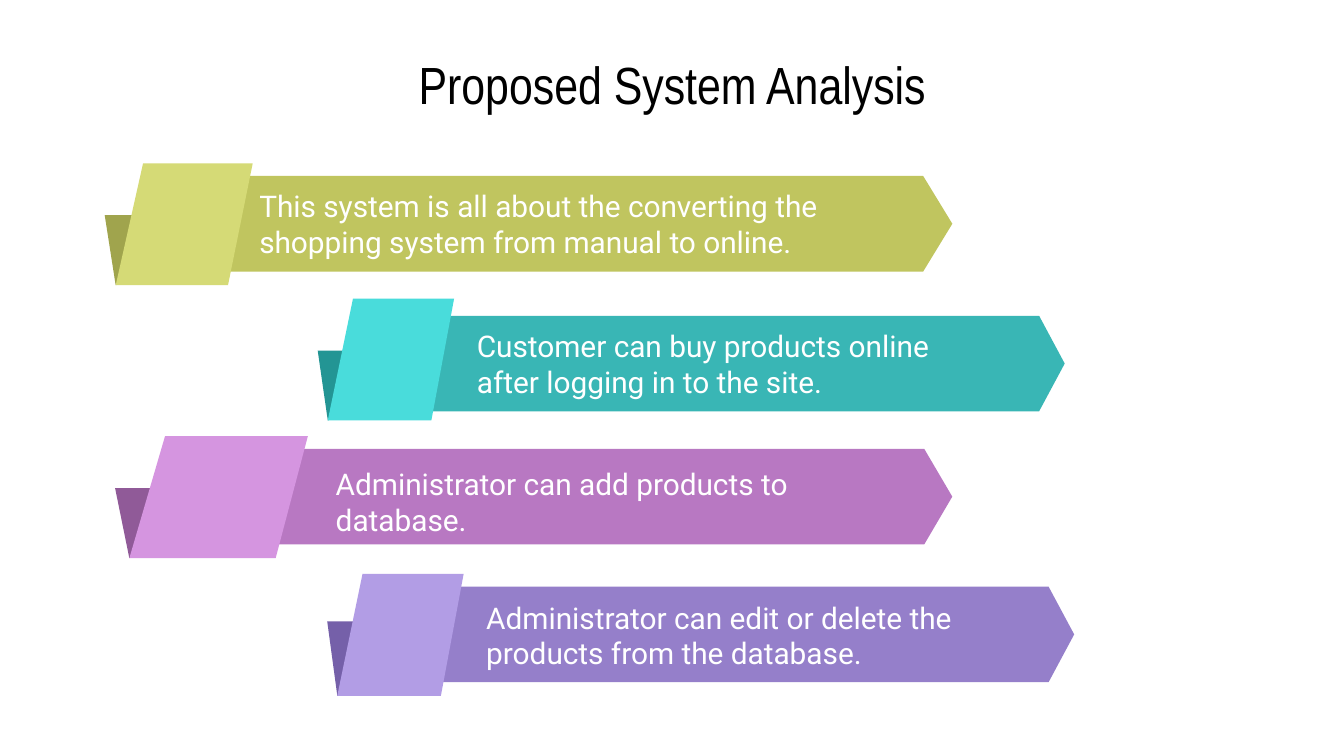
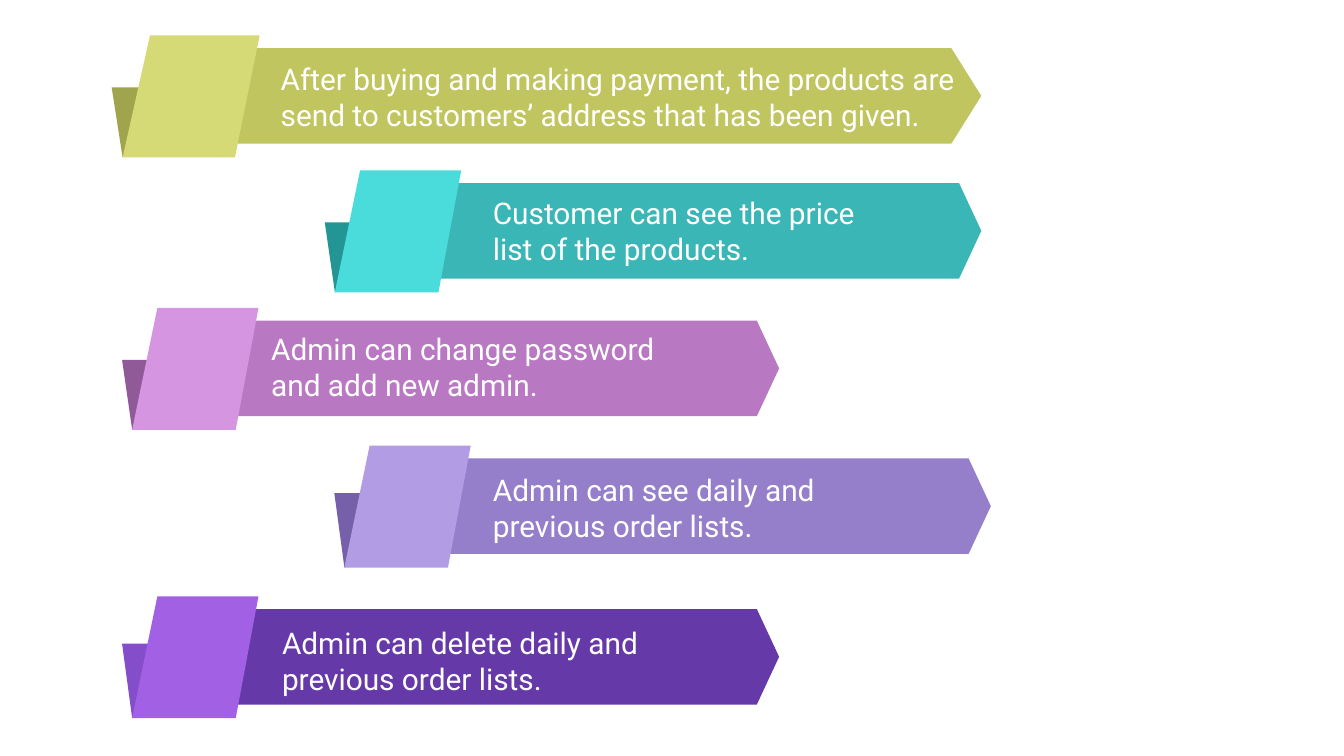
from dataclasses import dataclass

from pptx import Presentation
from pptx.dml.color import RGBColor
from pptx.enum.text import MSO_ANCHOR, MSO_AUTO_SIZE, PP_ALIGN
from pptx.util import Pt

MIDDLE = MSO_ANCHOR.MIDDLE
NO_FIT = MSO_AUTO_SIZE.NONE
LEFT, CENTER = PP_ALIGN.LEFT, PP_ALIGN.CENTER
TITLE_ONLY, BLANK = 5, 6


@dataclass(frozen=True)
class Tone:
    fold: str
    bar: str
    tag: str
    drop: float = 27.8  # from the top of the tag to the top of the fold


class Theme:
    # Colours
    black, white = "000000", "FFFFFF"
    olive = Tone("A0A44D", "C0C55F", "D5DA76")
    teal = Tone("239594", "39B6B5", "49DCDB")
    pink = Tone("905A98", "B878C2", "D595E0")
    lilac = Tone("7560A9", "957FCA", "B29DE5", 25.4)
    violet = Tone("844DCA", "6639A8", "A261E4", 25.4)
    # Type
    head, body = "Arial Narrow", "Roboto"
    big, small = 28, 16
    # Ribbon sizes
    tag_h, bar_h, inset = 65.3, 51.2, 7.2


class Deck:
    def __init__(self, theme):
        self.theme = theme
        self.file = Presentation()
        self.file.slide_width, self.file.slide_height = Pt(720), Pt(405)
        self.slide = None

    def page(self, layout):
        self.slide = self.file.slides.add_slide(self.file.slide_layouts[layout])

    def letter(self, shape, text, font, size, color, align):
        frame = shape.text_frame
        frame.text = text
        frame.word_wrap = True
        frame.auto_size = NO_FIT
        frame.vertical_anchor = MIDDLE
        frame.margin_left = frame.margin_right = Pt(self.theme.inset)
        frame.margin_top = frame.margin_bottom = Pt(self.theme.inset)
        line = frame.paragraphs[0]
        line.alignment = align
        line.font.name, line.font.size = font, Pt(size)
        line.font.color.rgb = RGBColor.from_string(color)

    def title(self, text, left, top, width, height):
        shape = self.slide.shapes.title
        shape.left, shape.top = Pt(left), Pt(top)
        shape.width, shape.height = Pt(width), Pt(height)
        look = self.theme
        self.letter(shape, text, look.head, look.big, look.black, CENTER)

    def text(self, text, box):
        shape = self.slide.shapes.add_textbox(*map(Pt, box))
        look = self.theme
        self.letter(shape, text, look.body, look.small, look.white, LEFT)

    def outline(self, color, *spots):
        first, *rest = [(Pt(x), Pt(y)) for x, y in spots]
        pen = self.slide.shapes.build_freeform(*first)
        pen.add_line_segments(rest, close=True)
        shape = pen.convert_to_shape()
        shape.shadow.inherit = False
        shape.fill.solid()
        shape.fill.fore_color.rgb = RGBColor.from_string(color)
        shape.line.fill.background()

    def ribbon(self, tone, x, y, width, end, text, box, step=6.8):
        """Tag at x, y; the bar runs to end and starts step below the tag."""
        base = y + self.theme.tag_h
        # Fold behind the tag
        top, near, far = y + tone.drop, x - 0.08 * width, x + 0.33 * width
        self.outline(tone.fold, (near, top), (x, base), (far, base - 9), (far, top))
        # Arrow bar
        start = x + 0.36 * width
        tip = 0.037 * (end - start)
        top, low = y + step, y + step + self.theme.bar_h
        mid = (top + low) / 2
        self.outline(tone.bar, (start + tip, top), (start, mid), (start + tip, low),
                     (end - tip, low), (end, mid), (end - tip, top))
        # Slanted tag and wording
        self.outline(tone.tag, (x + 0.2 * width, y), (x, base),
                     (x + 0.82 * width, base), (x + width, y))
        self.text(text, box)


def main():
    look = Theme()
    deck = Deck(look)

    # Proposed system
    deck.page(TITLE_ONLY)
    deck.title("Proposed System Analysis", 198, 32.4, 324, 25.2)
    deck.ribbon(look.olive, 62, 87.5, 73.4, 510.2,
                "This system is all about the converting the shopping system "
                "from manual to online.", (131.8, 106.6, 332.6, 26.6))
    deck.ribbon(look.teal, 175.6, 160, 67.7, 570.4,
                "Customer can buy products online after logging in to the site.",
                (248.4, 188, 285.8, 13.7), step=9.2)
    deck.ribbon(look.pink, 69.3, 233.7, 95.6, 510.2,
                "Administrator can add products to database.",
                (172.8, 260.6, 316.8, 16.6))
    deck.ribbon(look.lilac, 180.7, 307.5, 67.7, 575.5,
                "Administrator can edit or delete the products from the database.",
                (253.4, 324, 311, 32.4))

    # Orders and admin
    deck.page(BLANK)
    deck.ribbon(look.olive, 65.7, 19, 73.4, 525.7,
                "After buying and making payment, the products are send to "
                "customers’ address that has been given.", (143.3, 36, 382.3, 31.7))
    deck.ribbon(look.teal, 179.4, 91.3, 67.7, 525.7,
                "Customer can see the price list of the products.",
                (257, 106.6, 230.4, 33.8))
    deck.ribbon(look.pink, 70.8, 165, 67.7, 417.4,
                "Admin can change password and add new admin.",
                (138.2, 173.5, 245.5, 46))
    deck.ribbon(look.lilac, 184.5, 238.8, 67.7, 530.8,
                "Admin can see daily and previous order lists.",
                (257, 256.3, 230.4, 31.7))
    deck.ribbon(look.violet, 70.8, 319.5, 67.7, 417.4,
                "Admin can delete daily and previous order lists.",
                (144, 338.4, 224.6, 31))

    deck.file.save("out.pptx")


if __name__ == "__main__":
    main()
